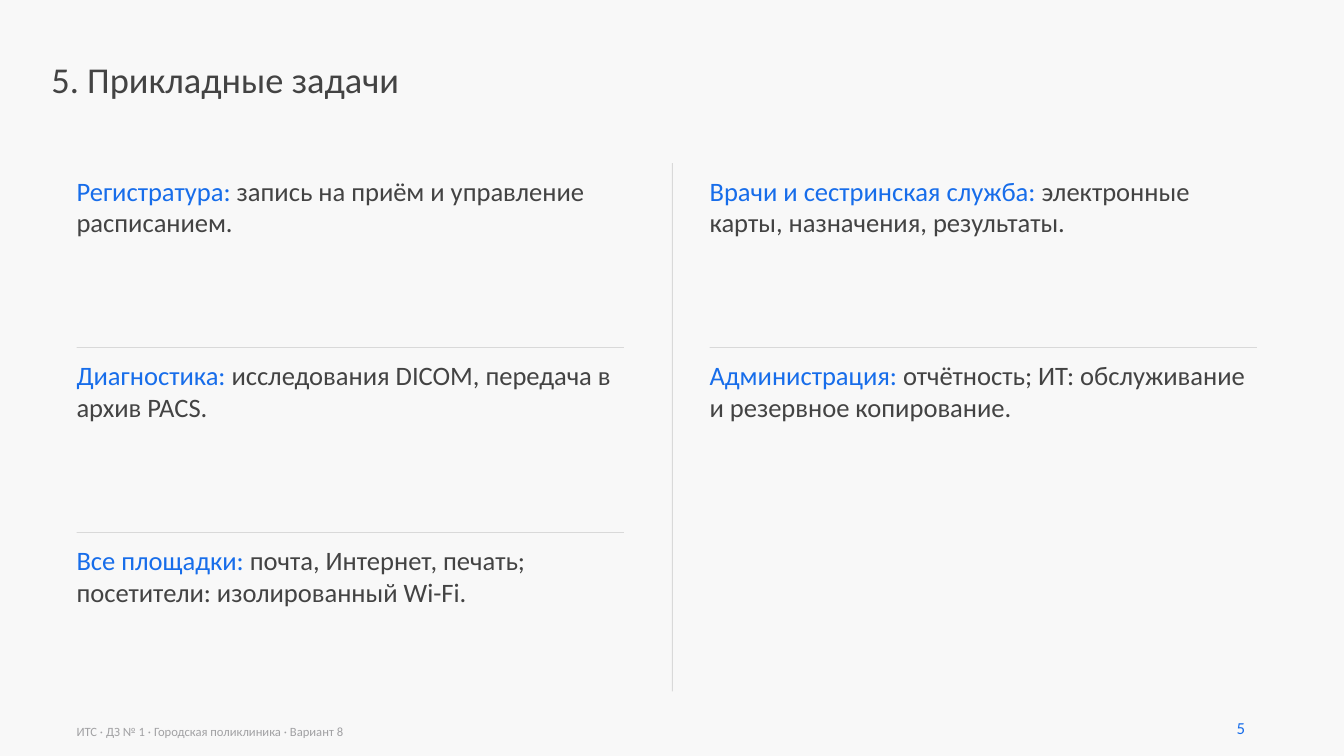
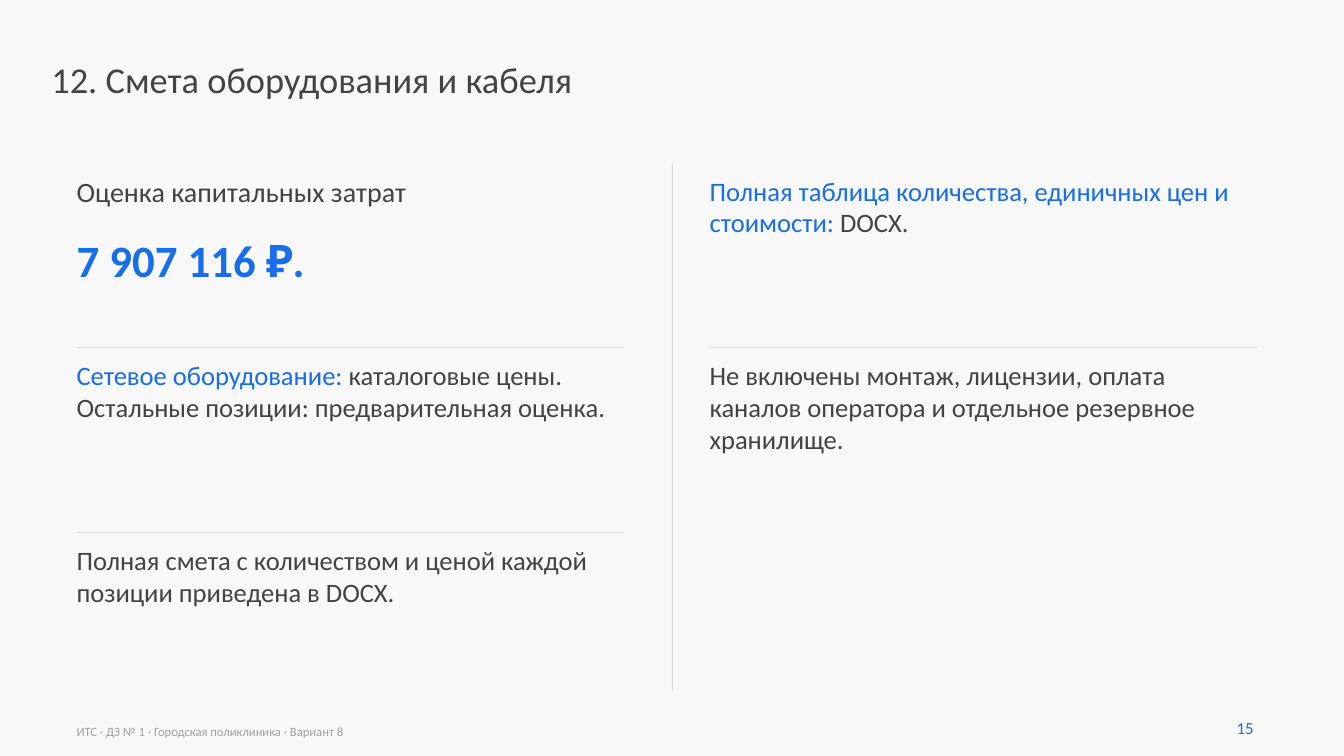
from pptx import Presentation
from pptx.dml.color import RGBColor
from pptx.enum.shapes import MSO_SHAPE
from pptx.util import Pt

INK, BLUE, GREY, RULE, PAPER = "434343", "176DEA", "A1A1A3", "D9D9D9", "F8F8F8"
FONT = "Calibri"
FOOTER = "ИТС · ДЗ № 1 · Городская поликлиника · Вариант 8"

SLIDES = [
    {
        "title": "5. Прикладные задачи",
        "page": "5",
        "cells": [
            ("Регистратура:", " запись на приём и управление расписанием."),
            ("Врачи и сестринская служба:", " электронные карты, назначения, результаты."),
            ("Диагностика:", " исследования DICOM, передача в архив PACS."),
            ("Администрация:", " отчётность; ИТ: обслуживание и резервное копирование."),
            ("Все площадки:", " почта, Интернет, печать; посетители: изолированный Wi-Fi."),
        ],
    },
    {
        "title": "12. Смета оборудования и кабеля",
        "page": "15",
        "total": ("Оценка капитальных затрат", "7 907 116 ₽."),
        "cells": [
            None,
            ("Полная таблица количества, единичных цен и стоимости:", " DOCX."),
            ("Сетевое оборудование:", " каталоговые цены. Остальные позиции: предварительная оценка."),
            ("", "Не включены монтаж, лицензии, оплата каналов оператора и отдельное резервное хранилище."),
            ("", "Полная смета с количеством и ценой каждой позиции приведена в DOCX."),
        ],
    },
]

LEFT, TOP = 54.7, 124.6
WIDTH, HEIGHT = 391, 111.6
STEP_X, STEP_Y = 452.2, 132.1
THIN, GAP = 0.72, 8.8


def color(code):
    return RGBColor.from_string(code)


def add_text(slide, text, x, y, w, h, size=19, ink=INK, lead="", bold=False):
    frame = slide.shapes.add_textbox(Pt(x), Pt(y), Pt(w), Pt(h)).text_frame
    frame.word_wrap = True
    frame.margin_left = frame.margin_right = 0
    frame.margin_top = frame.margin_bottom = 0
    for part, shade in ((lead, BLUE), (text, ink)):
        if part:
            run = frame.paragraphs[0].add_run()
            run.text = part
            font = run.font
            font.name, font.size, font.bold = FONT, Pt(size), bold
            font.color.rgb = color(shade)


def add_rule(slide, x, y, w, h):
    rule = slide.shapes.add_shape(MSO_SHAPE.RECTANGLE, Pt(x), Pt(y), Pt(w), Pt(h))
    rule.shadow.inherit = False
    rule.fill.solid()
    rule.fill.fore_color.rgb = color(RULE)
    rule.line.fill.background()


def add_total(slide, label, value):
    add_text(slide, label, LEFT, TOP, WIDTH, 39.6, size=20)
    add_text(slide, value, LEFT, TOP + 41.8, WIDTH, 56, size=32, ink=BLUE, bold=True)


def add_cells(slide, cells):
    for i, cell in enumerate(cells):
        row, col = divmod(i, 2)
        x, y = LEFT + col * STEP_X, TOP + row * STEP_Y
        if row:
            add_rule(slide, x, y - GAP, WIDTH, THIN)
        if cell:
            lead, text = cell
            add_text(slide, text, x, y, WIDTH, HEIGHT, lead=lead)


def add_page(deck, data):
    slide = deck.slides.add_slide(deck.slide_layouts[6])
    add_text(slide, data["title"], 36.7, 41, 882.7, 68.4, size=26)
    add_rule(slide, 480, 116.6, THIN, 377.3)
    if "total" in data:
        add_total(slide, *data["total"])
    add_cells(slide, data["cells"])
    add_text(slide, FOOTER, LEFT, 517, 720, 13, size=9, ink=GREY)
    add_text(slide, data["page"], 883.4, 512.6, 32.4, 19.4, size=12, ink=BLUE)


def main():
    deck = Presentation()
    deck.slide_width, deck.slide_height = Pt(960), Pt(540)
    back = deck.slide_master.background.fill
    back.solid()
    back.fore_color.rgb = color(PAPER)
    for data in SLIDES:
        add_page(deck, data)
    deck.save("out.pptx")


if __name__ == "__main__":
    main()
